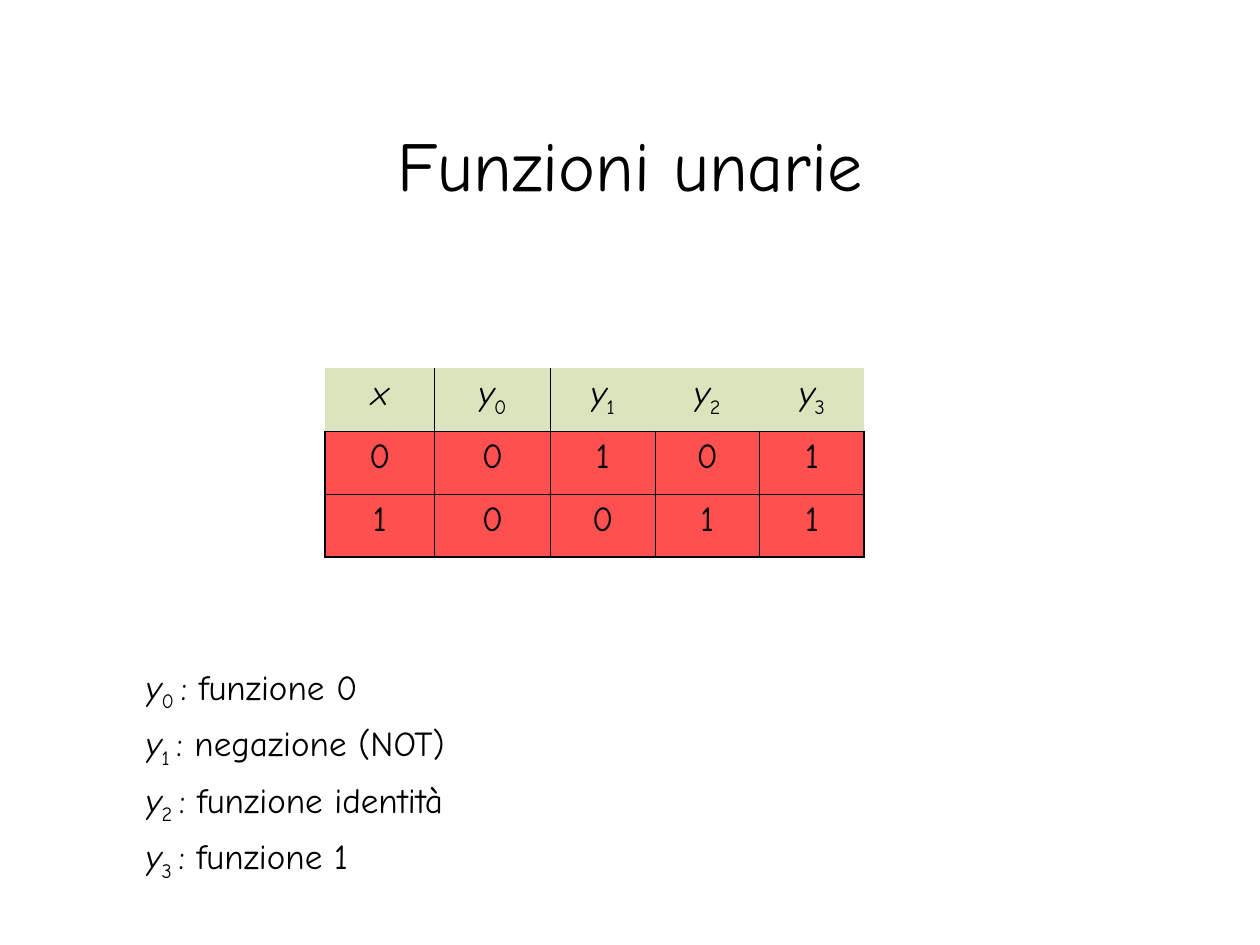
from lxml.etree import SubElement
from pptx import Presentation
from pptx.dml.color import RGBColor
from pptx.enum.text import MSO_ANCHOR, PP_ALIGN
from pptx.oxml.ns import qn
from pptx.util import Inches, Pt

# Content
TITLE = "Funzioni unarie"
HEADER = [("x", ""), ("y", "0"), ("y", "1"), ("y", "2"), ("y", "3")]
TRUTH_ROWS = ["00101", "10011"]
LEGEND = ["funzione 0", "negazione (NOT)", "funzione identità", "funzione 1"]

# Style
FONT = "Comic Neue"
COLORS = {"text": "000000", "header": "DBE5BD", "body": "FF5050", "border": "000000"}
COLUMN_WIDTHS = [0.87, 0.92, 0.83, 0.83, 0.83]
ROW_HEIGHT = 0.5
THIN, THICK = 0.45, 1.08
PLAIN_TABLE_STYLE = "{2D5ABB26-0587-4C30-8999-92F81FD0307C}"


def add_run(paragraph, text, size=20, italic=False, subscript=False):
    run = paragraph.add_run()
    run.text = text
    run.font.name = FONT
    run.font.size = Pt(size)
    run.font.italic = italic
    run.font.color.rgb = RGBColor.from_string(COLORS["text"])
    if subscript:
        run.font._element.set("baseline", "-25000")


def add_variable(paragraph, name, index):
    add_run(paragraph, name, italic=True)
    if index:
        add_run(paragraph, index, subscript=True)


def set_borders(cell, widths):
    """Draw the given sides; keys must follow the order L, R, T, B."""
    properties = cell._tc.get_or_add_tcPr()
    for side, width in widths.items():
        line = SubElement(properties, qn(f"a:ln{side}"), w=str(Pt(width)))
        fill = SubElement(line, qn("a:solidFill"))
        SubElement(fill, qn("a:srgbClr"), val=COLORS["border"])


def cell_borders(row, column):
    last_row, last_column = len(TRUTH_ROWS), len(HEADER) - 1
    left = THICK if column in (0, 1) else THIN
    right = THICK if column in (0, last_column) else THIN
    if row == 0:
        # The header only has the divider after x and the line below it
        sides = {0: {"R": THICK}, 1: {"L": THICK}}.get(column, {})
        return {**sides, "B": THIN}
    bottom = THICK if row == last_row else THIN
    return {"L": left, "R": right, "T": THIN, "B": bottom}


presentation = Presentation()
presentation.slide_width = Inches(10)
presentation.slide_height = Inches(7.5)
slide = presentation.slides.add_slide(presentation.slide_layouts[6])

# Title
title = slide.shapes.add_textbox(Inches(0.75), Inches(0.67), Inches(8.5), Inches(1.25))
title.text_frame.word_wrap = True
title.text_frame.vertical_anchor = MSO_ANCHOR.MIDDLE
title_paragraph = title.text_frame.paragraphs[0]
title_paragraph.alignment = PP_ALIGN.CENTER
add_run(title_paragraph, TITLE, size=40)

# Truth table
table_rows = [HEADER] + [list(row) for row in TRUTH_ROWS]
table_frame = slide.shapes.add_table(
    len(table_rows), len(HEADER), Inches(2.58), Inches(2.92),
    Inches(sum(COLUMN_WIDTHS)), Inches(ROW_HEIGHT * len(table_rows)))
table = table_frame.table
table.first_row = False
table.horz_banding = False
table._tbl.tblPr.find(qn("a:tableStyleId")).text = PLAIN_TABLE_STYLE
for column, width in zip(table.columns, COLUMN_WIDTHS):
    column.width = Inches(width)

for row_index, values in enumerate(table_rows):
    table.rows[row_index].height = Inches(ROW_HEIGHT)
    for column_index, value in enumerate(values):
        cell = table.cell(row_index, column_index)
        set_borders(cell, cell_borders(row_index, column_index))
        cell.fill.solid()
        color = COLORS["header" if row_index == 0 else "body"]
        cell.fill.fore_color.rgb = RGBColor.from_string(color)
        paragraph = cell.text_frame.paragraphs[0]
        paragraph.alignment = PP_ALIGN.CENTER
        if row_index == 0:
            add_variable(paragraph, *value)
        else:
            add_run(paragraph, value)

# Legend of the four functions
legend = slide.shapes.add_textbox(Inches(1.06), Inches(5.23), Inches(2.59), Inches(1.83))
legend.text_frame.word_wrap = False
for index, meaning in enumerate(LEGEND):
    if index == 0:
        paragraph = legend.text_frame.paragraphs[0]
    else:
        paragraph = legend.text_frame.add_paragraph()
        paragraph.space_before = Pt(5)
    add_variable(paragraph, "y", f"{index} ")
    add_run(paragraph, f": {meaning}")

presentation.save("out.pptx")
